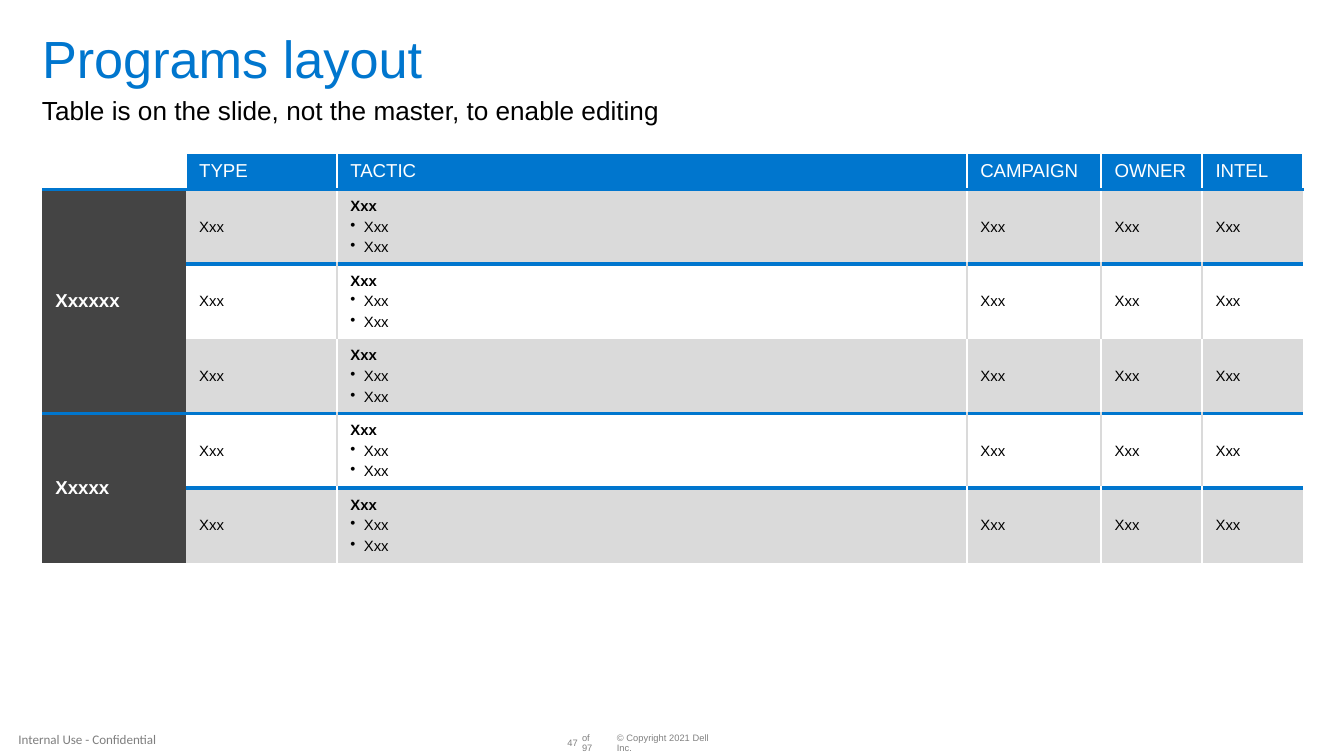
from lxml.etree import SubElement
from pptx import Presentation
from pptx.dml.color import RGBColor
from pptx.enum.text import MSO_ANCHOR, PP_ALIGN
from pptx.oxml import parse_xml
from pptx.oxml.ns import nsdecls, qn
from pptx.util import Pt

TITLE = "Programs layout"
SUBHEAD = "Table is on the slide, not the master, to enable editing"
HEADS = ["TYPE", "TACTIC", "CAMPAIGN", "OWNER", "INTEL"]
TACTIC = ["Xxx", "Xxx", "Xxx"]
ENTRY = ["Xxx", TACTIC, "Xxx", "Xxx", "Xxx"]
GROUPS = [("Xxxxxx", [ENTRY] * 3), ("Xxxxx", [ENTRY] * 2)]
WIDTHS = [77, 81, 337.5, 72, 54, 54]
HEAD_H, ROW_H = 18, 38.25
LEFT, WIDE = 22.5, 675.5

THEME = {
    "blue": "0076CE", "dark": "444444", "grey": "DADADA", "white": "FFFFFF",
    "black": "000000", "note": "808080", "mark": "7F7F7F",
    "title": 28, "sub": 14, "head": 10, "body": 8, "foot": 5, "label": 7,
    "face": "Arial", "alt": "Calibri", "thin": 1, "thick": 2.25,
}

NOTES = [
    ("© Copyright 2021 Dell Inc.", (330.5, 395.3, 58.3, 5.8), "foot", "note", "face", PP_ALIGN.LEFT, 0.9),
    ("47", (303.8, 395.3, 5.8, 5.8), "foot", "note", "face", PP_ALIGN.RIGHT, 0.9),
    ("of 97", (311.8, 395.3, 10.8, 5.8), "foot", "note", "face", PP_ALIGN.LEFT, 0.9),
    ("Internal Use - Confidential", (0, 388, 93.6, 16.6), "label", "mark", "alt", PP_ALIGN.CENTER, 1),
]


def apply(item, values):
    for name, value in values.items():
        setattr(item, name, value)


def style(para, size, tint, face="face", bold=False):
    apply(para.font, {"size": Pt(THEME[size]), "name": THEME[face], "bold": bold})
    para.font.color.rgb = RGBColor.from_string(THEME[tint])


def place(shape, text, box, size, tint, face="face", align=PP_ALIGN.LEFT,
          space=1, anchor=MSO_ANCHOR.TOP):
    apply(shape, dict(zip(("left", "top", "width", "height"), map(Pt, box))))
    frame = shape.text_frame
    apply(frame, {"margin_left": 0, "margin_right": 0, "margin_top": 0, "margin_bottom": 0,
                  "word_wrap": True, "vertical_anchor": anchor, "text": text})
    para = frame.paragraphs[0]
    apply(para, {"alignment": align, "line_spacing": space})
    style(para, size, tint, face)


def bullet(para):
    props = para._p.get_or_add_pPr()
    props.set("marL", str(Pt(7.2)))
    props.set("indent", str(-Pt(7.2)))
    SubElement(props, qn("a:buChar")).set("char", "•")
    para.space_before = Pt(2)


def fill(cell, text, size, tint, back, bold=False):
    lines = text if isinstance(text, list) else [text]
    apply(cell, {"margin_left": Pt(7.2), "margin_right": Pt(3.6), "margin_top": Pt(3.6),
                 "margin_bottom": Pt(3.6), "vertical_anchor": MSO_ANCHOR.MIDDLE})
    cell.text = "\n".join(lines)
    for at, para in enumerate(cell.text_frame.paragraphs):
        if at:
            bullet(para)
        style(para, size, tint, bold=bold or (len(lines) > 1 and at == 0))
    if back:
        cell.fill.solid()
        cell.fill.fore_color.rgb = RGBColor.from_string(THEME[back])
    else:
        cell.fill.background()


def edge(cell, sides):
    props = cell._tc.get_or_add_tcPr()
    spot = 0
    for side in "LRTB":
        if side in sides:
            tint, width = sides[side]
            props.insert(spot, parse_xml(
                f'<a:ln{side} {nsdecls("a")} w="{Pt(THEME[width])}"><a:solidFill>'
                f'<a:srgbClr val="{THEME[tint]}"/></a:solidFill></a:ln{side}>'))
            spot += 1


deck = Presentation()
apply(deck, {"slide_width": Pt(720), "slide_height": Pt(405)})
slide = deck.slides.add_slide(deck.slide_layouts[5])
shapes = slide.shapes

for text, box, size, tint, face, align, space in NOTES:
    place(shapes.add_textbox(0, 0, 0, 0), text, box, size, tint, face, align, space,
          MSO_ANCHOR.MIDDLE)
place(shapes.title, TITLE, (LEFT, 18, WIDE, 30.2), "title", "blue", space=0.9)
place(shapes.add_textbox(0, 0, 0, 0), SUBHEAD, (LEFT, 50.4, WIDE, 17.3), "sub", "black")

count = sum(len(rows) for _, rows in GROUPS)
table = shapes.add_table(count + 1, len(WIDTHS), Pt(LEFT), Pt(82.3), Pt(WIDE),
                         Pt(HEAD_H + count * ROW_H)).table
apply(table, {"first_row": False, "horz_banding": False})
table._tbl.tblPr.find(qn("a:tableStyleId")).text = "{2D5ABB26-0587-4C30-8999-92F81FD0307C}"
for col, width in zip(table.columns, WIDTHS):
    col.width = Pt(width)
for at, row in enumerate(table.rows):
    row.height = Pt(ROW_H if at else HEAD_H)

rule = ("blue", "thick")
thin = ("white", "thin")
for at, text in enumerate([""] + HEADS):
    cell = table.cell(0, at)
    fill(cell, text, "head", "white", "blue" if at else None)
    edge(cell, {"R": thin, "B": rule, **({"L": thin} if at else {})})

start = 1
for name, rows in GROUPS:
    end = start + len(rows) - 1
    lead = table.cell(start, 0)
    lead.merge(table.cell(end, 0))
    fill(lead, name, "head", "white", "dark", bold=True)
    edge(lead, {"T": rule, **({"B": rule} if end < count else {})})
    for line, entry in enumerate(rows, start):
        back, seam = ("grey", "white") if line % 2 else ("white", "grey")
        for at, text in enumerate(entry, 1):
            cell = table.cell(line, at)
            fill(cell, text, "body", "black", back)
            sides = {}
            if at > 1:
                sides["L"] = (seam, "thin")
            if at < len(entry):
                sides["R"] = (seam, "thin")
            if line == start:
                sides["T"] = rule
            if line == end < count:
                sides["B"] = rule
            edge(cell, sides)
    start = end + 1

deck.save("out.pptx")
